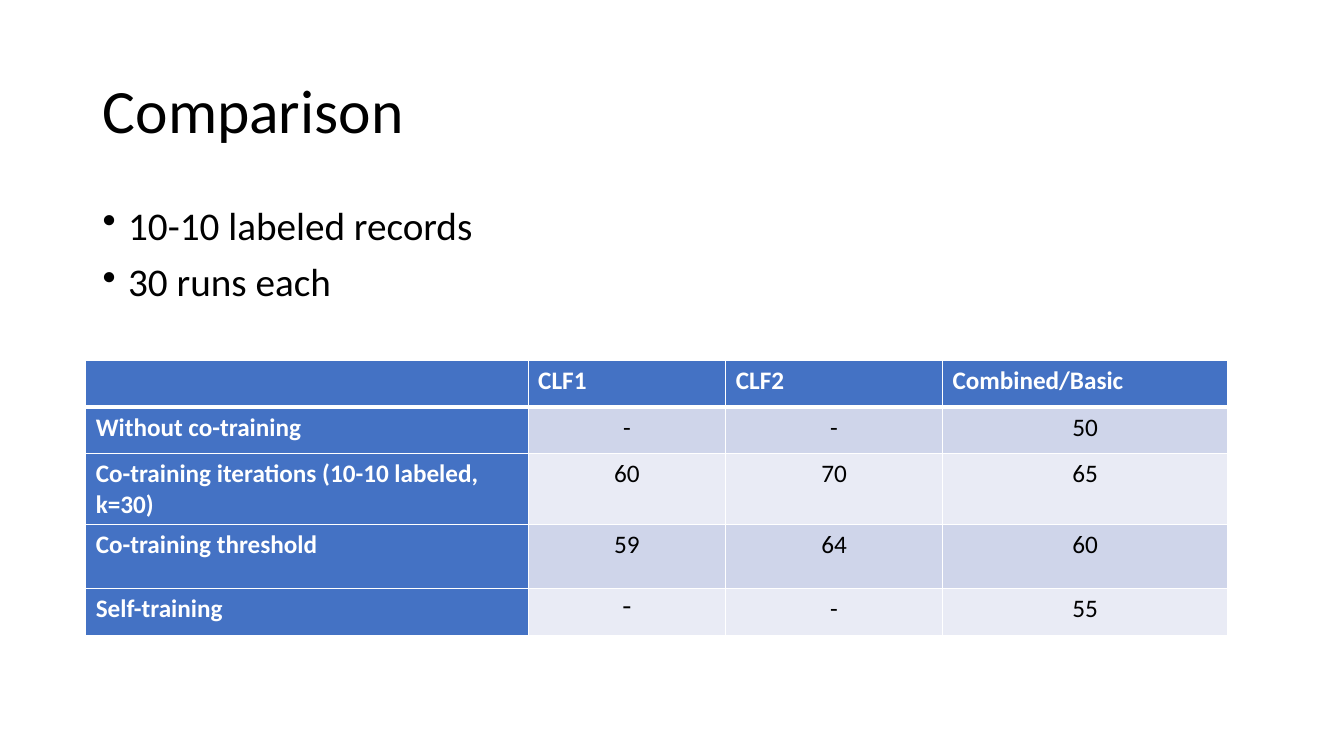
import pptx
import pptx.dml.color
import pptx.enum.text
import pptx.oxml
import pptx.oxml.ns
import pptx.util
from lxml import etree

Cm, Pt = pptx.util.Cm, pptx.util.Pt
PP_ALIGN = pptx.enum.text.PP_ALIGN
ANCHOR = pptx.enum.text.MSO_ANCHOR
qn = pptx.oxml.ns.qn

BLACK, WHITE, BLUE = "000000", "FFFFFF", "4472C4"
BANDS = ["CFD5EA", "E9EBF5"]

COLUMN_WIDTHS = [11.15, 4.98, 5.46, 7.19]
ROW_HEIGHTS = [1.17, 1.17, 1.75, 1.63, 1.17]
RESULTS = [
    ["", "CLF1", "CLF2", "Combined/Basic"],
    ["Without co-training", "-", "-", "50"],
    ["Co-training iterations (10-10 labeled, k=30)", "60", "70", "65"],
    ["Co-training threshold", "59", "64", "60"],
    ["Self-training", "-", "-", "55"],
]


def rgb(value):
    return pptx.dml.color.RGBColor.from_string(value)


class SlideBuilder:
    font = "Calibri"

    def __init__(self, slide):
        self.slide = slide

    def style(self, p, size, color=BLACK, bold=False):
        p.font.name = self.font
        p.font.size = Pt(size)
        p.font.bold = bold
        p.font.color.rgb = rgb(color)

    def text(self, lines, left, top, width, height, size, anchor=ANCHOR.TOP, bullet=False):
        sp = self.slide.shapes.add_textbox(Cm(left), Cm(top), Cm(width), Cm(height))
        tf = sp.text_frame
        tf.word_wrap = True
        tf.vertical_anchor = anchor
        tf.text = "\n".join(lines)
        for p in tf.paragraphs:
            self.style(p, size)
            p.line_spacing = 0.9
            if bullet:
                p.space_before = Pt(10)
                self.bullet(p)

    def bullet(self, p):
        pPr = p._p.get_or_add_pPr()
        pPr.set("marL", str(Cm(0.64)))
        pPr.set("indent", str(-Cm(0.64)))
        mark = etree.Element(qn("a:buChar"), char="•")
        pPr.insert_element_before(mark, "a:tabLst", "a:defRPr", "a:extLst")

    def borders(self, cell, top, bottom):
        """Draw white cell borders; call before filling the cell."""
        tcPr = cell._tc.get_or_add_tcPr()
        for side, width in {"L": 1, "R": 1, "T": top, "B": bottom}.items():
            ln = etree.SubElement(tcPr, qn(f"a:ln{side}"), w=str(Pt(width)))
            fill = etree.SubElement(ln, qn("a:solidFill"))
            etree.SubElement(fill, qn("a:srgbClr"), val=WHITE)

    def table(self, rows, left, top, widths, heights):
        table = self.slide.shapes.add_table(
            len(rows), len(widths), Cm(left), Cm(top), Cm(sum(widths)), Cm(sum(heights))
        ).table
        for column, width in zip(table.columns, widths):
            column.width = Cm(width)
        for i, (row, height) in enumerate(zip(rows, heights)):
            table.rows[i].height = Cm(height)
            for j, value in enumerate(row):
                self.cell(table.cell(i, j), value, i, j)
        return table

    def cell(self, cell, value, i, j):
        heading = i == 0 or j == 0
        self.borders(cell, top=3 if i == 1 else 1, bottom=3 if i == 0 else 1)
        cell.fill.solid()
        cell.fill.fore_color.rgb = rgb(BLUE if heading else BANDS[(i - 1) % 2])
        cell.text = value
        p = cell.text_frame.paragraphs[0]
        self.style(p, 18, WHITE if heading else BLACK, heading)
        p.alignment = PP_ALIGN.LEFT if heading else PP_ALIGN.CENTER


def main():
    prs = pptx.Presentation()
    prs.slide_width, prs.slide_height = Cm(33.87), Cm(19.05)
    s = SlideBuilder(prs.slides.add_slide(prs.slide_layouts[6]))

    s.text(["Comparison"], 2.34, 1.02, 29.21, 3.68, 44, anchor=ANCHOR.MIDDLE)
    s.text(["10-10 labeled records", "30 runs each"], 2.34, 5.08, 29.21, 12.09, 28, bullet=True)
    table = s.table(RESULTS, 2.16, 9.09, COLUMN_WIDTHS, ROW_HEIGHTS)
    table.cell(4, 1).text_frame.paragraphs[0].font.name = "Courier New"

    prs.save("out.pptx")


if __name__ == "__main__":
    main()
